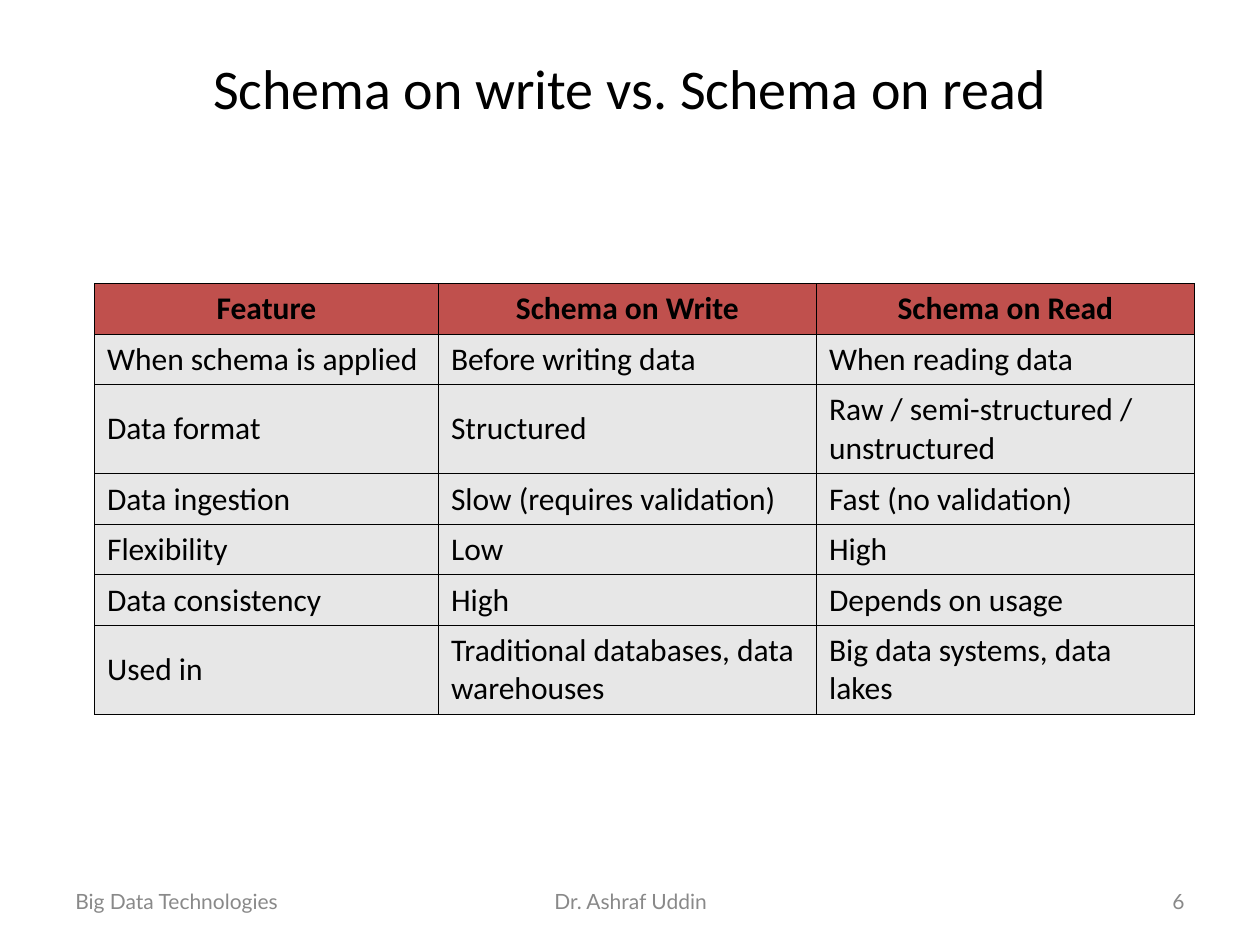
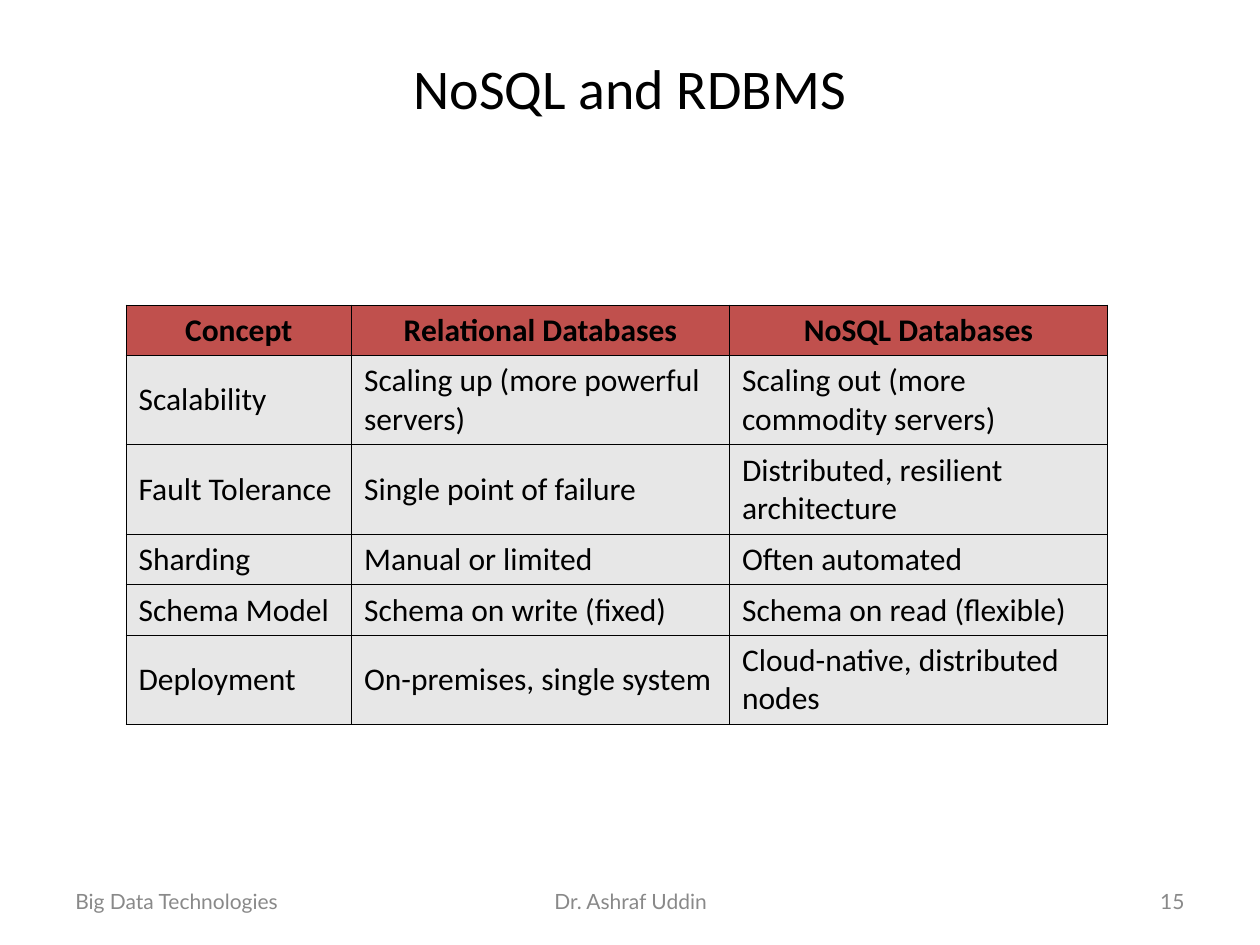
from lxml.etree import SubElement
from pptx import Presentation
from pptx.dml.color import RGBColor
from pptx.enum.text import MSO_ANCHOR as Anchor, PP_ALIGN as Align
from pptx.oxml.ns import qn
from pptx.util import Inches, Pt

COLORS = {
    "background": "FFFFFF",
    "text": "000000",
    "footer": "898989",
    "header": "C0504D",
    "body": "E7E7E7",
    "border": "000000",
}
TITLE_ONLY = 5
ROW_HEIGHT, TALL_ROW_HEIGHT = 0.4, 0.71
VALUE_WIDTH = 3

SCHEMA_ROWS = [
    ("Feature", "Schema on Write", "Schema on Read"),
    ("When schema is applied", "Before writing data", "When reading data"),
    ("Data format", "Structured", "Raw / semi-structured / unstructured"),
    ("Data ingestion", "Slow (requires validation)", "Fast (no validation)"),
    ("Flexibility", "Low", "High"),
    ("Data consistency", "High", "Depends on usage"),
    ("Used in", "Traditional databases, data warehouses", "Big data systems, data lakes"),
]
DATABASE_ROWS = [
    ("Concept", "Relational Databases", "NoSQL Databases"),
    ("Scalability", "Scaling up (more powerful servers)", "Scaling out (more commodity servers)"),
    ("Fault Tolerance", "Single point of failure", "Distributed, resilient architecture"),
    ("Sharding", "Manual or limited", "Often automated"),
    ("Schema Model", "Schema on write (fixed)", "Schema on read (flexible)"),
    ("Deployment", "On-premises, single system", "Cloud-native, distributed nodes"),
]


def rgb(name):
    return RGBColor.from_string(COLORS[name])


def write_text(frame, text, size=18, font="Calibri", color="text", bold=False, align=Align.LEFT):
    para = frame.paragraphs[0]
    para.alignment = align
    span = para.add_run()
    span.text = text
    span.font.size = Pt(size)
    span.font.name = font
    span.font.bold = bold
    span.font.color.rgb = rgb(color)


def add_footer(page, text, left, width, align):
    box = page.shapes.add_textbox(Inches(left), Inches(6.95), Inches(width), Inches(0.4))
    box.text_frame.word_wrap = True
    box.text_frame.vertical_anchor = Anchor.MIDDLE
    write_text(box.text_frame, text, size=12, font="Lato", color="footer", align=align)


def add_page(deck, title, number):
    page = deck.slides.add_slide(deck.slide_layouts[TITLE_ONLY])
    page.background.fill.solid()
    page.background.fill.fore_color.rgb = rgb("background")

    # Title, held one line above the bottom of its box
    box = page.shapes.title
    box.left, box.top, box.width, box.height = map(Inches, (0.5, 0.3, 9, 1.25))
    box.text_frame.vertical_anchor = Anchor.BOTTOM
    box.text_frame.margin_bottom = Inches(0.59)
    write_text(box.text_frame, title, size=32, align=Align.CENTER)

    # Footer
    add_footer(page, "Big Data Technologies", 0.5, 2.33, Align.LEFT)
    add_footer(page, "Dr. Ashraf Uddin", 3.42, 3.17, Align.CENTER)
    add_footer(page, str(number), 7.17, 2.33, Align.RIGHT)
    return page


def add_borders(cell):
    properties = cell._tc.get_or_add_tcPr()
    for side in ("lnL", "lnR", "lnT", "lnB"):
        line = SubElement(properties, qn(f"a:{side}"), w=str(Pt(0.45)))
        fill = SubElement(line, qn("a:solidFill"))
        SubElement(fill, qn("a:srgbClr"), val=COLORS["border"])


def add_comparison(page, rows, left, top, label_width, tall_rows):
    widths = [label_width, VALUE_WIDTH, VALUE_WIDTH]
    heights = [TALL_ROW_HEIGHT if i in tall_rows else ROW_HEIGHT for i in range(len(rows))]
    table = page.shapes.add_table(
        len(rows), len(widths), Inches(left), Inches(top),
        Inches(sum(widths)), Inches(sum(heights)),
    ).table
    for column, width in zip(table.columns, widths):
        column.width = Inches(width)
    for i, (texts, height) in enumerate(zip(rows, heights)):
        table.rows[i].height = Inches(height)
        is_header = i == 0
        for j, text in enumerate(texts):
            cell = table.cell(i, j)
            cell.vertical_anchor = Anchor.MIDDLE
            add_borders(cell)
            cell.fill.solid()
            cell.fill.fore_color.rgb = rgb("header" if is_header else "body")
            write_text(cell.text_frame, text, bold=is_header,
                       align=Align.CENTER if is_header else Align.LEFT)


def main():
    deck = Presentation()
    deck.slide_width, deck.slide_height = Inches(10), Inches(7.5)

    page = add_page(deck, "Schema on write vs. Schema on read", 6)
    add_comparison(page, SCHEMA_ROWS, 0.75, 2.25, label_width=2.73, tall_rows={2, 6})

    page = add_page(deck, "NoSQL and RDBMS", 15)
    add_comparison(page, DATABASE_ROWS, 1, 2.42, label_width=1.79, tall_rows={1, 2, 5})

    deck.save("out.pptx")


if __name__ == "__main__":
    main()
